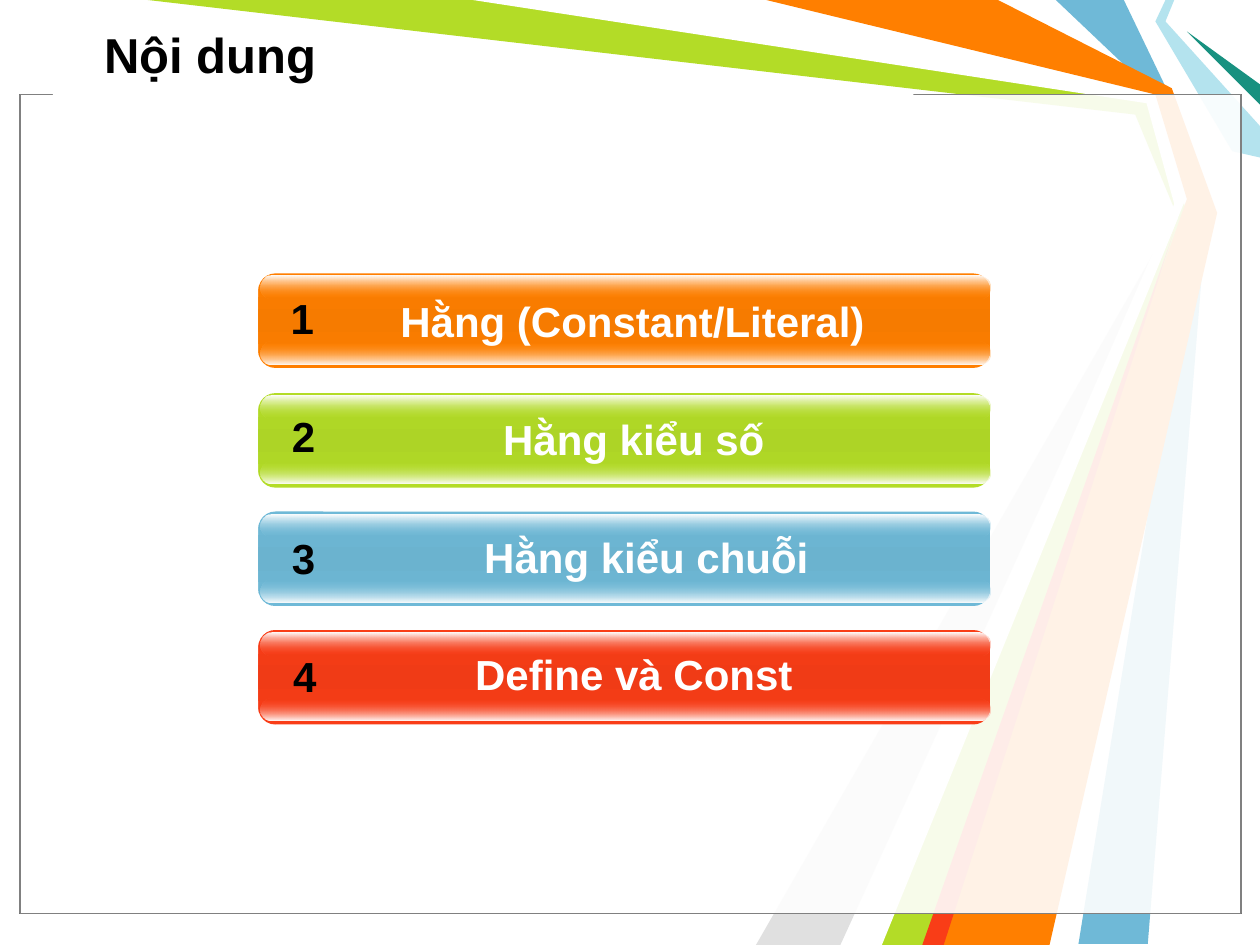
from lxml.etree import SubElement
from pptx import Presentation
from pptx.dml.color import RGBColor
from pptx.enum.shapes import MSO_SHAPE as Preset
from pptx.enum.text import MSO_ANCHOR as Anchor, PP_ALIGN as Align
from pptx.oxml.ns import qn
from pptx.util import Pt

PX = 9144

BLACK = RGBColor(0x00, 0x00, 0x00)
WHITE = RGBColor(0xFF, 0xFF, 0xFF)
GRAY = RGBColor(0x80, 0x80, 0x80)
SILVER = RGBColor(0xE0, 0xE0, 0xE0)
BLUE = RGBColor(0x6F, 0xB9, 0xD7)
BLUE_DEEP = RGBColor(0x6B, 0xB3, 0xCF)
GREEN = RGBColor(0xB3, 0xDC, 0x27)
GREEN_DEEP = RGBColor(0xAD, 0xD4, 0x26)
ORANGE = RGBColor(0xFF, 0x7F, 0x00)
ORANGE_DEEP = RGBColor(0xF6, 0x7B, 0x00)
RED = RGBColor(0xF9, 0x3D, 0x17)
RED_DEEP = RGBColor(0xF0, 0x3B, 0x16)
PALE_BLUE = RGBColor(0xB4, 0xE3, 0xEE)
TEAL = RGBColor(0x18, 0x91, 0x80)

deck = Presentation()
deck.slide_width = 1000 * PX
deck.slide_height = 750 * PX
page = deck.slides.add_slide(deck.slide_layouts[5])


def add_rounded_bar(left, top, width, height, radius, stops):
    bar = page.shapes.add_shape(
        Preset.ROUNDED_RECTANGLE, left * PX, top * PX, width * PX, height * PX)
    bar.adjustments[0] = radius
    bar.shadow.inherit = False
    bar.line.fill.background()
    bar.fill.gradient()
    bar.fill.gradient_angle = 270
    stop_list = bar.element.spPr.find(qn("a:gradFill")).find(qn("a:gsLst"))
    stop_list.clear()
    for position, color, opacity in stops:
        stop = SubElement(stop_list, qn("a:gs"), pos=str(position * 1000))
        shade = SubElement(stop, qn("a:srgbClr"), val=str(color))
        if opacity < 100:
            SubElement(shade, qn("a:alpha"), val=str(opacity * 1000))


def add_centered_text(left, top, width, text, color):
    box = page.shapes.add_textbox(left * PX, top * PX, width * PX, 50 * PX)
    box.text_frame.word_wrap = True
    para = box.text_frame.paragraphs[0]
    para.text = text
    para.alignment = Align.CENTER
    para.font.name = "Arial"
    para.font.size = Pt(24)
    para.font.bold = True
    para.font.color.rgb = color


ribbons = [
    (BLUE, [(892, 0), (929, 77), (958, 167), (911, 749), (856, 749),
            (950, 167), (917, 75), (838, 0)]),
    (GREEN, [(117, 0), (383, 0), (914, 78), (942, 169), (742, 750),
             (692, 750), (935, 173), (901, 91)]),
    (SILVER, [(667, 750), (927, 181), (600, 750)]),
    (WHITE, [(375, 0), (910, 82), (932, 162), (675, 750), (700, 750),
             (941, 158), (917, 75), (600, 0)]),
    (PALE_BLUE, [(925, 0), (917, 17), (978, 120), (1000, 125), (1000, 100),
                 (925, 17), (932, 0)]),
    (TEAL, [(1000, 83), (942, 25), (1000, 67)]),
    (ORANGE, [(608, 0), (792, 0), (930, 70), (966, 169), (833, 750),
              (733, 750), (942, 158), (917, 75)]),
    (RED, [(732, 750), (932, 183), (749, 750)]),
]
for color, points in ribbons:
    builder = page.shapes.build_freeform(*points[0], scale=PX)
    builder.add_line_segments(points[1:], close=True)
    ribbon = builder.convert_to_shape()
    ribbon.shadow.inherit = False
    ribbon.fill.solid()
    ribbon.fill.fore_color.rgb = color
    ribbon.line.fill.background()

for outline in (BLACK, GRAY):
    panel = page.shapes.add_shape(
        Preset.RECTANGLE, 16 * PX, 75 * PX, 969 * PX, 650 * PX)
    panel.shadow.inherit = False
    panel.fill.solid()
    panel.fill.fore_color.rgb = WHITE
    tint = panel.element.spPr.find(qn("a:solidFill")).find(qn("a:srgbClr"))
    SubElement(tint, qn("a:alpha"), val="69000")
    panel.line.color.rgb = outline
    panel.line.width = Pt(0.75)

frame_gap = page.shapes.add_shape(
    Preset.RECTANGLE, 42 * PX, 74 * PX, 683 * PX, 17 * PX)
frame_gap.shadow.inherit = False
frame_gap.fill.solid()
frame_gap.fill.fore_color.rgb = WHITE
frame_gap.line.fill.background()

title = page.shapes.title
page.shapes.element.append(title.element)
title.left, title.top, title.width, title.height = 73 * PX, 8 * PX, 911 * PX, 69 * PX
title.text_frame.vertical_anchor = Anchor.MIDDLE
heading = title.text_frame.paragraphs[0]
heading.text = "Nội dung"
heading.alignment = Align.LEFT
heading.font.name = "Arial"
heading.font.size = Pt(28)
heading.font.bold = True
heading.font.color.rgb = BLACK

topics = [
    ("1", "Hằng (Constant/Literal)", ORANGE, ORANGE_DEEP, 217, (219, 227), (256, 230)),
    ("2", "Hằng kiểu số", GREEN, GREEN_DEEP, 312, (220, 321), (257, 323)),
    ("3", "Hằng kiểu chuỗi", BLUE, BLUE_DEEP, 406, (220, 418), (267, 417)),
    ("4", "Define và Const", RED, RED_DEEP, 500, (221, 511), (257, 510)),
]
for number, label, color, deep, top, number_at, label_at in topics:
    add_rounded_bar(205, top, 581, 75, 0.18,
                    [(0, color, 100), (50, deep, 100), (100, color, 100)])
    add_rounded_bar(207, top + 54, 579, 18, 0.5, [(0, color, 0), (100, WHITE, 100)])
    add_rounded_bar(207, top + 2, 579, 18, 0.5, [(0, WHITE, 100), (100, color, 0)])
    add_centered_text(*label_at, 492, label, WHITE)
    add_centered_text(*number_at, 42, number, BLACK)

deck.save("out.pptx")
